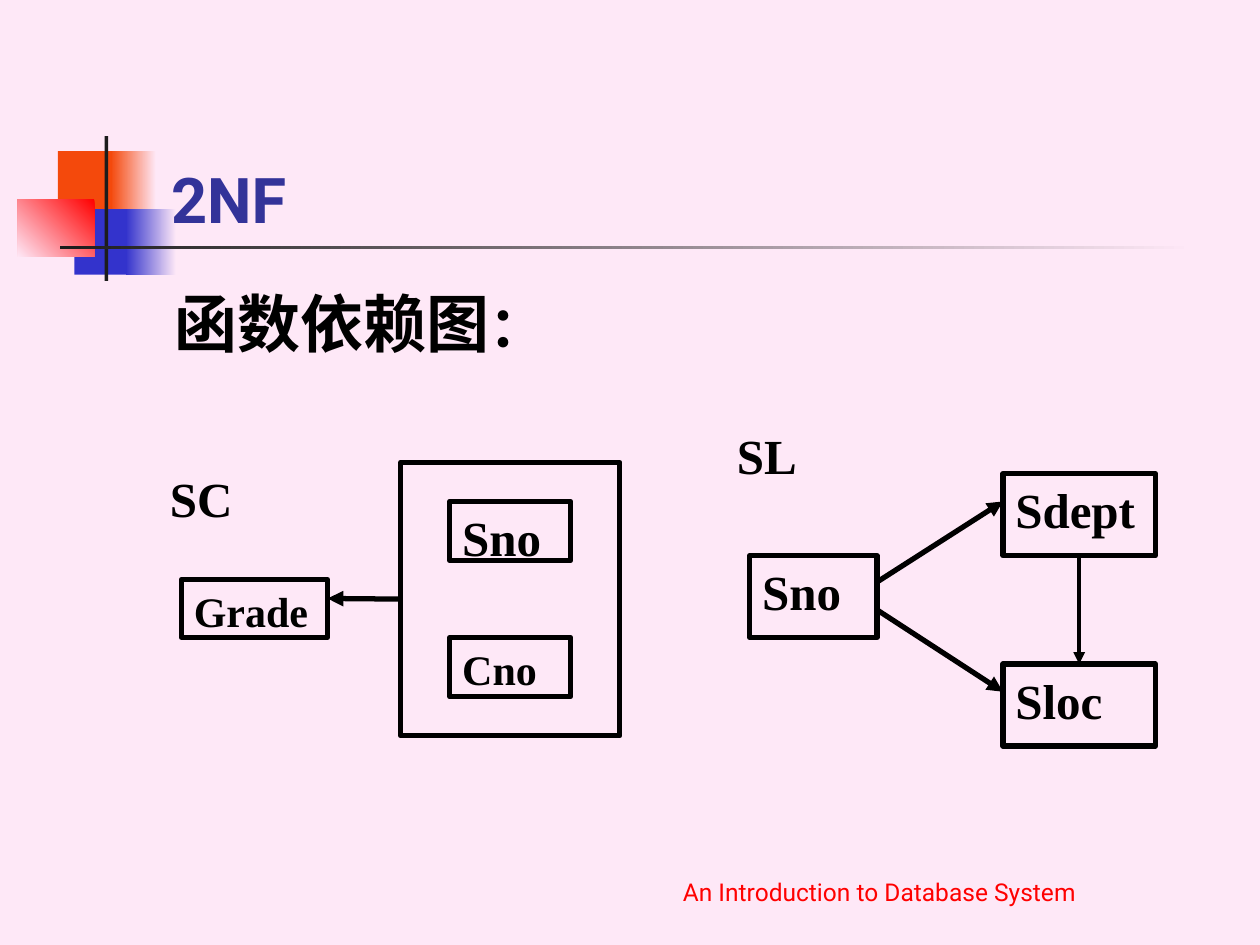
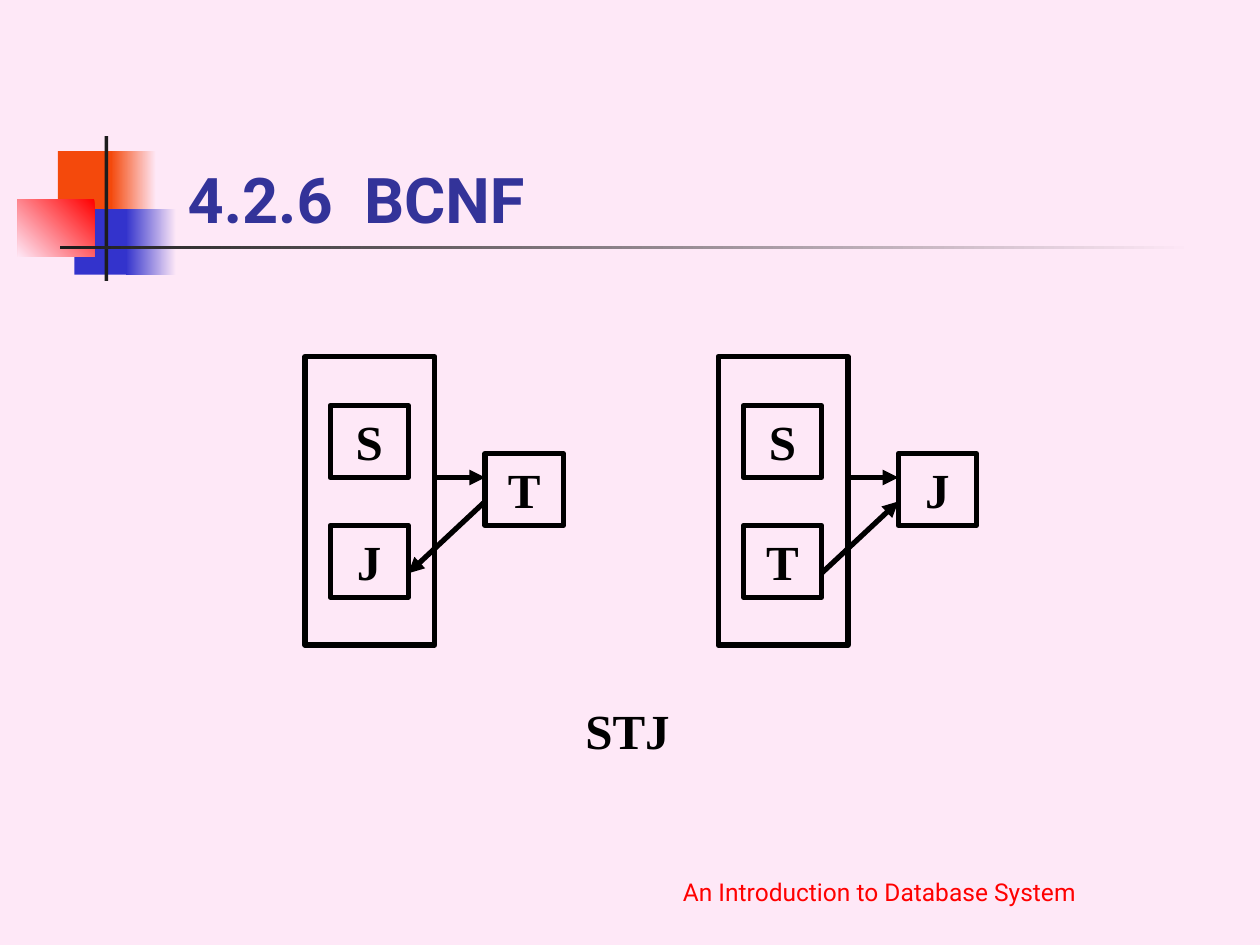
from dataclasses import dataclass

from pptx import Presentation
from pptx.dml.color import RGBColor
from pptx.enum.shapes import MSO_CONNECTOR, MSO_SHAPE
from pptx.enum.text import MSO_ANCHOR, PP_ALIGN
from pptx.oxml.ns import qn
from pptx.util import Pt
from lxml import etree

PX = 9144  # EMU in one px, 100 px to the inch
RECT = MSO_SHAPE.RECTANGLE
STRAIGHT = MSO_CONNECTOR.STRAIGHT
TOP, BOTTOM = MSO_ANCHOR.TOP, MSO_ANCHOR.BOTTOM
LEFT, CENTER, JUSTIFY = PP_ALIGN.LEFT, PP_ALIGN.CENTER, PP_ALIGN.JUSTIFY
SIDE_TOP, SIDE_LEFT, SIDE_BOTTOM = 0, 1, 2


@dataclass(frozen=True)
class Theme:
    background: str = "FEE8F7"
    orange: str = "F4490C"
    blue: str = "3333CC"
    red: str = "FF0000"
    rule: str = "1C1C1C"
    title: str = "333399"
    ink: str = "000000"
    sans: str = "Roboto"
    serif: str = "Times New Roman"
    title_size: int = 36
    colon_size: int = 32
    node_size: int = 28
    small_node_size: int = 24
    footer_size: int = 14
    line: float = 3
    thin_line: float = 2.25


THEME = Theme()


@dataclass(frozen=True)
class Band:
    """A filled block; with an end colour it fades along a clockwise angle."""
    at: tuple[int, int, int, int]
    color: str
    end: str = ""
    angle: int = 180


@dataclass(frozen=True)
class Style:
    size: int
    font: str = THEME.serif
    color: str = THEME.ink
    bold: bool = True
    align: PP_ALIGN = JUSTIFY
    anchor: MSO_ANCHOR = TOP
    space_before: int = 0
    indent: int = 0


@dataclass(frozen=True)
class Node:
    """A piece of text, boxed by an outline unless framed is False."""
    at: tuple[int, int, int, int]
    text: str = ""
    style: Style = Style(THEME.node_size)
    framed: bool = True


@dataclass(frozen=True)
class Arrow:
    start: tuple[int, int]
    end: tuple[int, int]
    width: float = THEME.line


SMALL = Style(THEME.small_node_size)
CENTERED = Style(THEME.node_size, align=CENTER)
HEADING = Style(THEME.title_size, THEME.sans, align=LEFT, space_before=8)
FOOTER = Style(THEME.footer_size, THEME.sans, THEME.red, bold=False,
               align=CENTER, anchor=BOTTOM)

BANDS = [
    Band((46, 120, 48, 52), THEME.orange),
    Band((88, 120, 36, 52), THEME.background, THEME.orange),
    Band((59, 166, 46, 52), THEME.blue),
    Band((100, 166, 40, 52), THEME.background, THEME.blue),
    Band((14, 158, 61, 46), THEME.red, THEME.background, 135),
    Band((83, 108, 3, 115), THEME.rule),
    Band((48, 195, 900, 3), THEME.background, THEME.rule),
]


def rgb(color: str) -> RGBColor:
    return RGBColor.from_string(color)


def emu(*lengths: int) -> list[int]:
    return [n * PX for n in lengths]


def draw_band(slide, band: Band) -> None:
    sp = slide.shapes.add_shape(RECT, *emu(*band.at))
    sp.shadow.inherit = False
    sp.line.fill.background()
    if not band.end:
        sp.fill.solid()
        sp.fill.fore_color.rgb = rgb(band.color)
        return
    sp.fill.gradient()
    sp.fill.gradient_angle = 360 - band.angle
    for stop, color in zip(sp.fill.gradient_stops, (band.color, band.end)):
        stop.color.rgb = rgb(color)


def add_run(p, text: str, style: Style) -> None:
    r = p.add_run()
    r.text = text
    formats = {"name": style.font, "size": Pt(style.size), "bold": style.bold}
    for key, value in formats.items():
        setattr(r.font, key, value)
    r.font.color.rgb = rgb(style.color)


def draw_node(slide, node: Node):
    if node.framed:
        sp = slide.shapes.add_shape(RECT, *emu(*node.at))
        sp.shadow.inherit = False
        sp.fill.background()
        sp.line.color.rgb = rgb(THEME.ink)
        sp.line.width = Pt(THEME.line)
    else:
        sp = slide.shapes.add_textbox(*emu(*node.at))
    if node.text:
        style = node.style
        tf = sp.text_frame
        formats = {"word_wrap": True, "vertical_anchor": style.anchor,
                   "margin_left": (10 + style.indent) * PX, "margin_right": 10 * PX,
                   "margin_top": 5 * PX, "margin_bottom": 5 * PX}
        for key, value in formats.items():
            setattr(tf, key, value)
        p = tf.paragraphs[0]
        p.alignment = style.align
        p.space_before = Pt(style.space_before)
        add_run(p, node.text, style)
    return sp


def draw_arrow(slide, arrow: Arrow):
    c = slide.shapes.add_connector(STRAIGHT, *emu(*arrow.start, *arrow.end))
    c.line.color.rgb = rgb(THEME.ink)
    c.line.width = Pt(arrow.width)
    etree.SubElement(c.line._get_or_add_ln(), qn("a:tailEnd"), type="triangle")
    etree.SubElement(c._element.spPr, qn("a:effectLst"))
    return c


def add_base_slide(prs, title: str, indent: int = 0):
    """Add a slide with the shared background, bands, title and footer."""
    slide = prs.slides.add_slide(prs.slide_layouts[6])
    slide.background.fill.solid()
    slide.background.fill.fore_color.rgb = rgb(THEME.background)
    for band in BANDS:
        draw_band(slide, band)
    title_style = Style(THEME.title_size, THEME.sans, THEME.title,
                        align=LEFT, anchor=BOTTOM, indent=indent)
    draw_node(slide, Node((126, 67, 852, 125), title, title_style, framed=False))
    draw_node(slide, Node((437, 674, 522, 50), "An Introduction to Database System",
                          FOOTER, framed=False))
    return slide


def build_2nf(prs) -> None:
    slide = add_base_slide(prs, "2NF")
    heading = draw_node(slide, Node((129, 221, 850, 450), "函数依赖图", HEADING, framed=False))
    add_run(heading.text_frame.paragraphs[0], "：",
            Style(THEME.colon_size, THEME.sans))

    key = draw_node(slide, Node((318, 367, 174, 217)))
    for node in (
        Node((357, 398, 96, 47), "Sno"),
        Node((357, 506, 96, 47), "Cno", SMALL),
        Node((144, 460, 116, 46), "Grade", SMALL),
        Node((125, 367, 97, 46), "SC", framed=False),
        Node((575, 333, 121, 65), "SL", framed=False),
        Node((595, 441, 101, 65), "Sno"),
    ):
        draw_node(slide, node)
    sdept = draw_node(slide, Node((796, 376, 121, 65), "Sdept"))
    sloc = draw_node(slide, Node((796, 527, 121, 65), "Sloc"))

    to_grade = draw_arrow(slide, Arrow((318, 475), (260, 475)))
    to_grade.begin_connect(key, SIDE_LEFT)
    draw_arrow(slide, Arrow((696, 462), (796, 398)))
    draw_arrow(slide, Arrow((696, 484), (796, 549)))
    to_sloc = draw_arrow(slide, Arrow((857, 441), (857, 527), THEME.thin_line))
    to_sloc.begin_connect(sdept, SIDE_BOTTOM)
    to_sloc.end_connect(sloc, SIDE_TOP)


def draw_dependency(slide, left: int, upper: str, lower: str, target: str,
                    back: bool) -> None:
    """Draw a two-part key with its target; back turns the slanted arrow."""
    draw_node(slide, Node((left, 283, 103, 229)))
    for dx, top, text in ((20, 322, upper), (20, 417, lower), (143, 360, target)):
        draw_node(slide, Node((left + dx, top, 62, 57), text, CENTERED))
    draw_arrow(slide, Arrow((left + 103, 379), (left + 143, 379)))
    ends = [(left + 82, 455), (left + 143, 398)]
    draw_arrow(slide, Arrow(*(reversed(ends) if back else ends)))


def build_bcnf(prs) -> None:
    slide = add_base_slide(prs, "4.2.6  BCNF", indent=13)
    draw_dependency(slide, 242, "S", "J", "T", back=True)
    draw_dependency(slide, 570, "S", "T", "J", back=False)
    draw_node(slide, Node((447, 551, 102, 57), "STJ", CENTERED, framed=False))


def main() -> None:
    prs = Presentation()
    prs.slide_width, prs.slide_height = emu(1000, 750)
    build_2nf(prs)
    build_bcnf(prs)
    prs.save("out.pptx")


if __name__ == "__main__":
    main()
